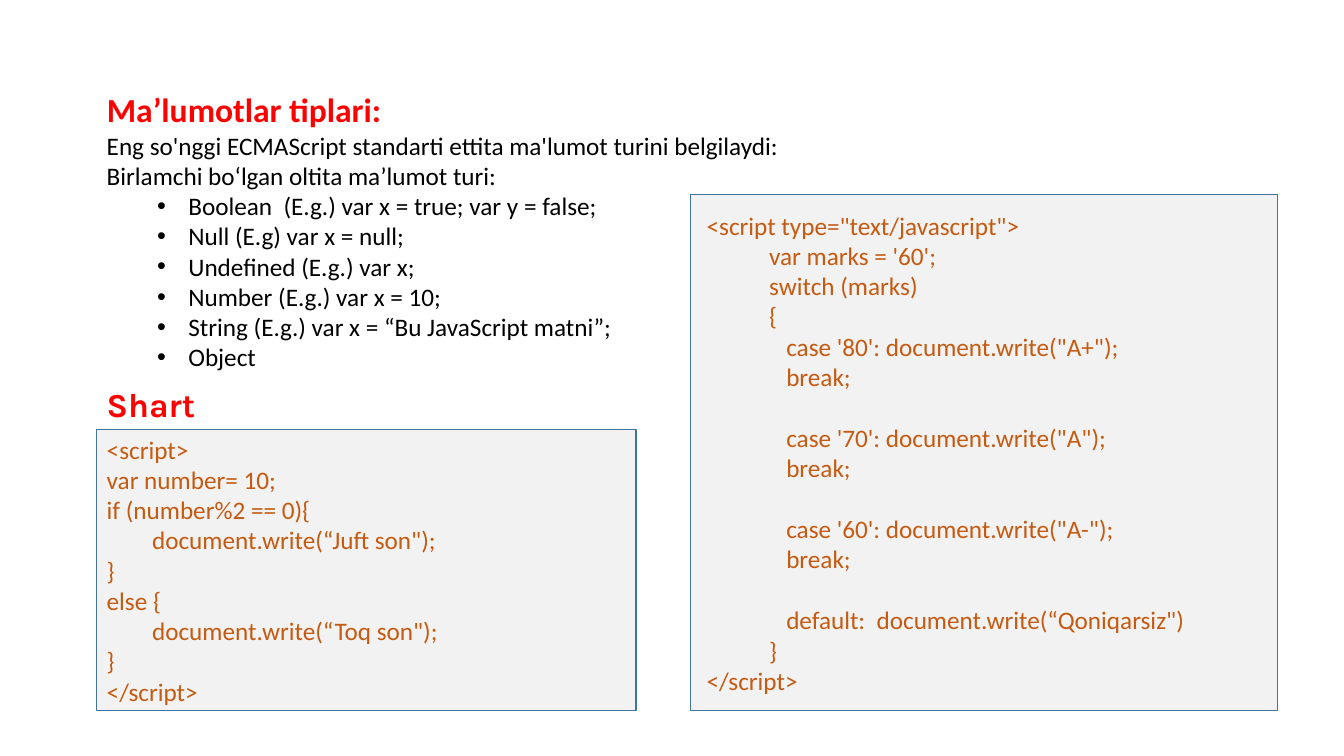
from dataclasses import dataclass

from lxml.etree import SubElement
from pptx import Presentation
from pptx.dml.color import RGBColor
from pptx.enum.shapes import MSO_SHAPE
from pptx.enum.text import MSO_ANCHOR, PP_ALIGN
from pptx.oxml.ns import qn
from pptx.util import Inches, Pt


@dataclass(frozen=True)
class Theme:
    heading: RGBColor = RGBColor(0xFF, 0x00, 0x00)
    body: RGBColor = RGBColor(0x00, 0x00, 0x00)
    code: RGBColor = RGBColor(0xC5, 0x5A, 0x11)
    panel: RGBColor = RGBColor(0xF2, 0xF2, 0xF2)
    border: RGBColor = RGBColor(0x43, 0x73, 0x9E)
    font: str = "Calibri"
    accent_font: str = "Karla"
    heading_size: int = 24
    text_size: int = 18
    line_height: int = 22


THEME = Theme()
TITLE_ONLY = 5

INTRODUCTION = [
    "Eng so'nggi ECMAScript standarti ettita ma'lumot turini belgilaydi:",
    "Birlamchi boʻlgan oltita maʼlumot turi:",
]
DATA_TYPES = [
    "Boolean  (E.g.) var x = true; var y = false;",
    "Null (E.g) var x = null;",
    "Undefined (E.g.) var x;",
    "Number (E.g.) var x = 10;",
    "String (E.g.) var x = “Bu JavaScript matni”;",
    "Object",
]

# Code lines: indent in inches, text; a None entry is a one-line gap
IF_CODE = [
    (0, "<script>"),
    (0, "var number= 10;"),
    (0, "if (number%2 == 0){"),
    (0.45, "document.write(“Juft son\");"),
    (0, "}"),
    (0, "else {"),
    (0.45, "document.write(“Toq son\");"),
    (0, "}"),
    (0, "</script>"),
]
SWITCH_CODE = [
    (0.06, "<script type=\"text/javascript\">"),
    (0.68, "var marks = '60';"),
    (0.68, "switch (marks)"),
    (0.68, "{"),
    (0.85, "case '80': document.write(\"A+\");"),
    (0.85, "break;"),
    None,
    (0.85, "case '70': document.write(\"A\");"),
    (0.85, "break;"),
    None,
    (0.85, "case '60': document.write(\"A-\");"),
    (0.85, "break;"),
    None,
    (0.85, "default:  document.write(“Qoniqarsiz\")"),
    (0.68, "}"),
    (0.06, "</script>"),
]


def next_paragraph(frame):
    """Return the empty first paragraph, or a new one after the rest."""
    first = frame.paragraphs[0]
    return frame.add_paragraph() if first.runs else first


def write(paragraph, text, color, size=THEME.text_size, font=THEME.font, bold=False):
    paragraph.alignment = PP_ALIGN.LEFT
    run = paragraph.add_run()
    run.text = text
    run.font.name = font
    run.font.size = Pt(size)
    run.font.bold = bold
    run.font.color.rgb = color


def set_indent(paragraph, left, first_line=0):
    properties = paragraph._p.get_or_add_pPr()
    properties.set("marL", str(Inches(left)))
    properties.set("indent", str(Inches(first_line)))
    return properties


def add_bullet(paragraph):
    properties = set_indent(paragraph, 0.81, -0.31)
    SubElement(properties, qn("a:buFont")).set("typeface", "Arial")
    SubElement(properties, qn("a:buChar")).set("char", "•")


def add_title(slide, left, top, width, height):
    title = slide.shapes.title
    title.left, title.top = Inches(left), Inches(top)
    title.width, title.height = Inches(width), Inches(height)
    frame = title.text_frame
    frame.vertical_anchor = MSO_ANCHOR.TOP
    paragraph = frame.paragraphs[0]
    write(paragraph, "Ma’lumotlar tiplari:", THEME.heading, THEME.heading_size, bold=True)


def add_text_box(slide, left, top, width, height):
    box = slide.shapes.add_textbox(Inches(left), Inches(top), Inches(width), Inches(height))
    box.text_frame.word_wrap = True
    return box.text_frame


def add_data_types(slide, left, top, width, height):
    frame = add_text_box(slide, left, top, width, height)
    for text in INTRODUCTION:
        write(next_paragraph(frame), text, THEME.body)
    for text in DATA_TYPES:
        paragraph = next_paragraph(frame)
        paragraph.level = 1
        add_bullet(paragraph)
        write(paragraph, text, THEME.body)


def add_condition_heading(slide, left, top, width, height):
    frame = add_text_box(slide, left, top, width, height)
    write(frame.paragraphs[0], "Shart", THEME.heading, THEME.heading_size,
          THEME.accent_font, bold=True)


def add_code_panel(slide, lines, left, top, width, height):
    panel = slide.shapes.add_shape(
        MSO_SHAPE.RECTANGLE, Inches(left), Inches(top), Inches(width), Inches(height))
    panel.shadow.inherit = False
    panel.fill.solid()
    panel.fill.fore_color.rgb = THEME.panel
    panel.line.color.rgb = THEME.border
    panel.line.width = Pt(1)
    frame = panel.text_frame
    frame.word_wrap = True
    frame.vertical_anchor = MSO_ANCHOR.MIDDLE
    gap = 0
    for line in lines:
        if line is None:
            gap = THEME.line_height
            continue
        indent, text = line
        paragraph = next_paragraph(frame)
        set_indent(paragraph, indent)
        paragraph.space_before = Pt(gap)
        write(paragraph, text, THEME.code)
        gap = 0


def build_slide(presentation):
    slide = presentation.slides.add_slide(presentation.slide_layouts[TITLE_ONLY])
    left, bottom = 0.96, 7.05
    # Data types
    add_title(slide, left, 0.83, 10.45, 0.46)
    add_data_types(slide, left, 1.24, 10.45, 2.52)
    # Conditions
    add_condition_heading(slide, left, 3.76, 2.22, 0.5)
    add_code_panel(slide, IF_CODE, left, 4.26, 5.35, bottom - 4.26)
    add_code_panel(slide, SWITCH_CODE, 6.85, 1.93, 5.82, bottom - 1.93)


def main():
    presentation = Presentation()
    presentation.slide_width = Inches(13.33)
    presentation.slide_height = Inches(7.5)
    build_slide(presentation)
    presentation.save("out.pptx")


if __name__ == "__main__":
    main()
